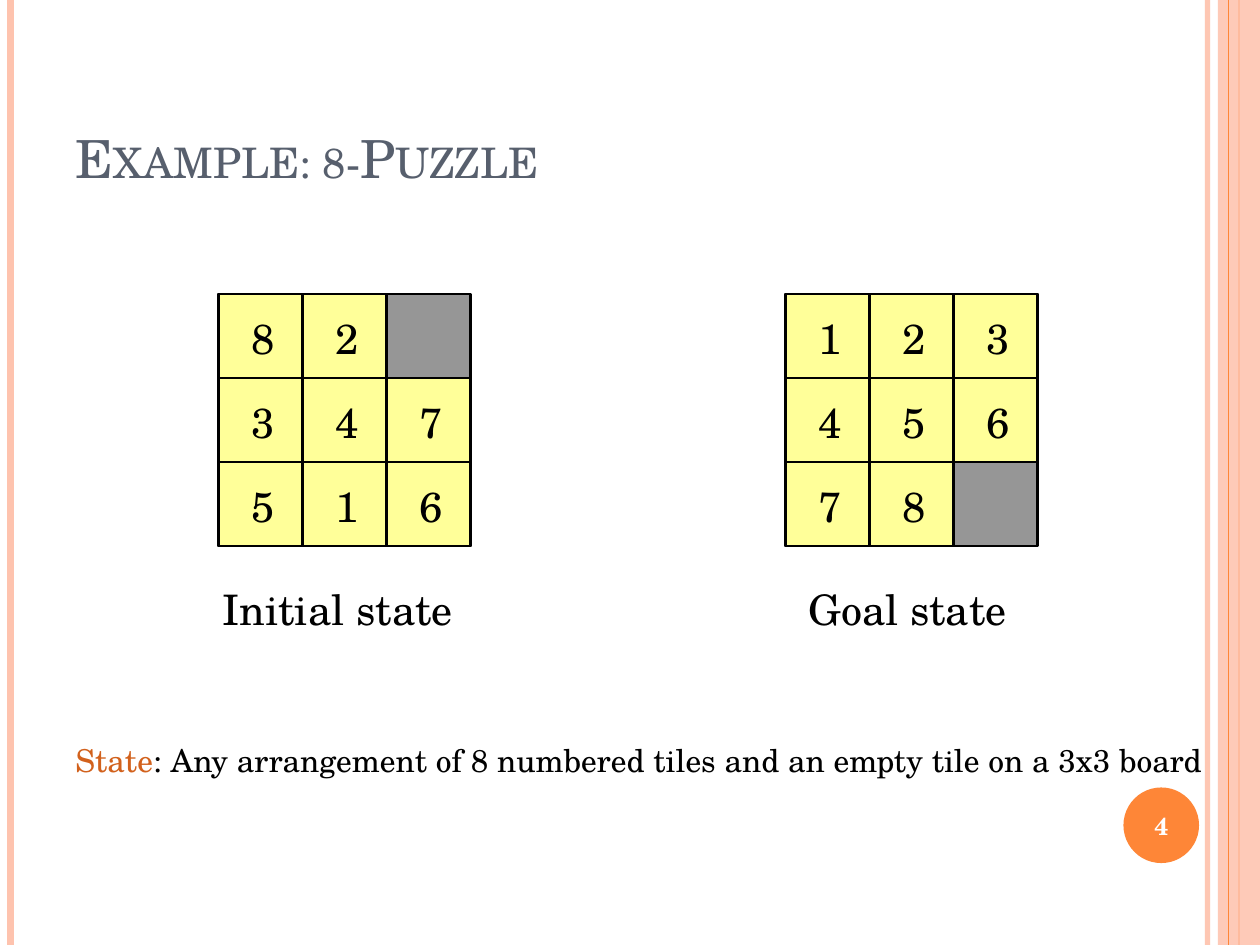
from lxml.etree import SubElement
from pptx import Presentation
from pptx.dml.color import RGBColor
from pptx.enum.shapes import MSO_CONNECTOR, MSO_SHAPE
from pptx.enum.text import MSO_ANCHOR as Anchor, MSO_AUTO_SIZE as AutoSize, PP_ALIGN as Align
from pptx.oxml.ns import qn
from pptx.util import Pt

FONT = "TeX Gyre Schola"
BLACK, WHITE, SLATE, RUST = "000000", "FFFFFF", "575F6D", "D2611C"
PEACH, ORANGE, YELLOW, GREY = "FEC3AE", "FE8637", "FFFF99", "969696"
SLIDE_W, SLIDE_H = 720, 540
TILE = 48


def rgb(value):
    return RGBColor.from_string(value)


def set_opacity(fill_parent, percent):
    color = fill_parent.find(".//" + qn("a:srgbClr"))
    SubElement(color, qn("a:alpha")).set("val", str(percent * 1000))


def add_run(paragraph, words, size, color, bold=False):
    run = paragraph.add_run()
    run.text = words
    run.font.name = FONT
    run.font.size = Pt(size)
    run.font.bold = bold
    run.font.color.rgb = rgb(color)
    return run


def add_solid(slide, preset, left, top, width, height, fill, outline=None):
    solid = slide.shapes.add_shape(preset, Pt(left), Pt(top), Pt(width), Pt(height))
    solid.shadow.inherit = False
    solid.fill.solid()
    solid.fill.fore_color.rgb = rgb(fill)
    if outline:
        solid.line.color.rgb = rgb(outline)
        solid.line.width = Pt(1.5)
    else:
        solid.line.fill.background()
    return solid


def add_label(slide, left, top, width, height, pieces, size):
    label = slide.shapes.add_textbox(Pt(left), Pt(top), Pt(width), Pt(height))
    frame = label.text_frame
    frame.word_wrap = False
    frame.auto_size = AutoSize.SHAPE_TO_FIT_TEXT
    for words, color in pieces:
        add_run(frame.paragraphs[0], words, size, color)


def add_rail(slide, x, width, color, opacity=100):
    rail = slide.shapes.add_connector(MSO_CONNECTOR.STRAIGHT, Pt(x), 0, Pt(x), Pt(SLIDE_H))
    rail.line.color.rgb = rgb(color)
    rail.line.width = Pt(width)
    properties = rail._element.spPr
    if opacity < 100:
        set_opacity(properties, opacity)
    SubElement(properties, qn("a:effectLst"))


def add_side_rails(slide):
    add_rail(slide, 690, 3, PEACH, 93)
    add_rail(slide, 6, 4.5, PEACH)
    add_rail(slide, 708, 1.5, ORANGE)
    band = add_solid(slide, MSO_SHAPE.RECTANGLE, 696, 0, SLIDE_W - 696, SLIDE_H, PEACH)
    set_opacity(band._element.spPr, 87)
    add_rail(slide, 702, 0.75, ORANGE)


def add_page_badge(slide, left, top, diameter, number):
    add_solid(slide, MSO_SHAPE.OVAL, left, top, diameter, diameter, ORANGE)
    width, height = 48, 41
    badge = slide.shapes.add_textbox(
        Pt(left + (diameter - width) / 2), Pt(top + (diameter - height) / 2),
        Pt(width), Pt(height))
    frame = badge.text_frame
    frame.word_wrap = True
    frame.vertical_anchor = Anchor.MIDDLE
    frame.paragraphs[0].alignment = Align.CENTER
    add_run(frame.paragraphs[0], number, 14, WHITE, bold=True)


def place_title(slide, left, top, width, height, words):
    title = slide.shapes.title
    title.left, title.top, title.width, title.height = map(Pt, (left, top, width, height))
    frame = title.text_frame
    frame.auto_size = AutoSize.NONE
    frame.vertical_anchor = Anchor.BOTTOM
    frame.paragraphs[0].alignment = Align.LEFT
    run = add_run(frame.paragraphs[0], words, 30, SLATE)
    run.font._element.set("cap", "small")


def add_board(slide, left, top, rows, caption, caption_width):
    side = TILE * len(rows)
    add_solid(slide, MSO_SHAPE.RECTANGLE, left, top, side, side, GREY, BLACK)
    tiles = [(left + column * TILE, top + row * TILE, digit)
             for row, digits in enumerate(rows)
             for column, digit in enumerate(digits) if digit != " "]
    for x, y, _ in tiles:
        add_solid(slide, MSO_SHAPE.RECTANGLE, x, y, TILE, TILE, YELLOW, BLACK)
    for x, y, digit in tiles:
        add_label(slide, x + 12, y + 7, 28.5, 36, [(digit, BLACK)], 24)
    caption_left = left + (side - caption_width) / 2 - 1.4
    add_label(slide, caption_left, top + side + 18, caption_width, 36, [(caption, BLACK)], 24)


def main():
    deck = Presentation()
    deck.slide_width, deck.slide_height = Pt(SLIDE_W), Pt(SLIDE_H)
    slide = deck.slides.add_slide(deck.slide_layouts[5])
    add_side_rails(slide)
    add_page_badge(slide, 642, 450, 43.2, "4")
    place_title(slide, 36, 21.6, 588, 90, "Example: 8-Puzzle")
    add_board(slide, 124.8, 168, ["82 ", "347", "516"], "Initial state", 150.5)
    add_board(slide, 448.8, 168, ["123", "456", "78 "], "Goal state", 129)
    definition = [("State", RUST),
                  (": Any arrangement of 8 numbered tiles and an empty tile on a 3x3 board", BLACK)]
    add_label(slide, 36, 420, 667.5, 29, definition, 18)
    deck.save("out.pptx")


if __name__ == "__main__":
    main()
